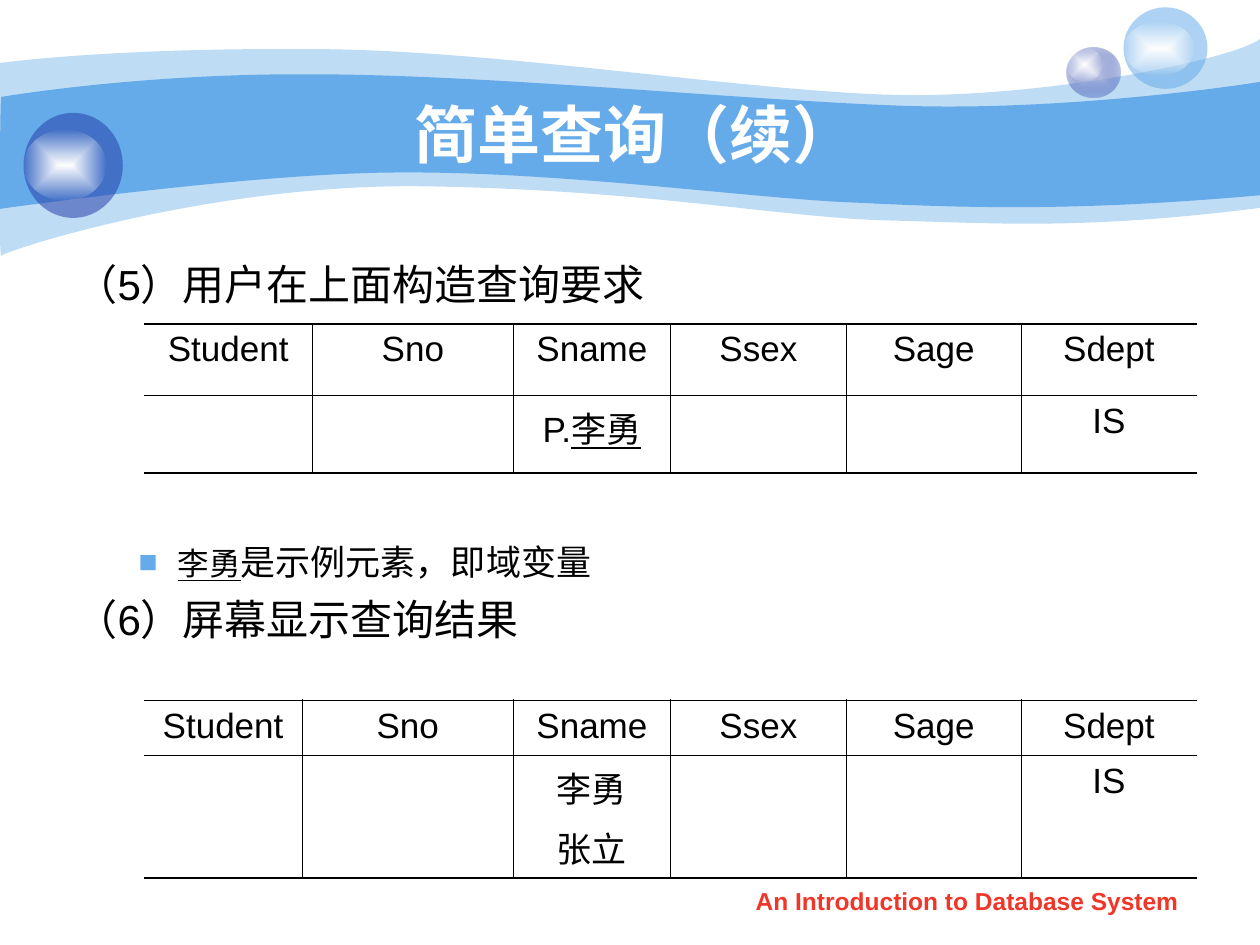
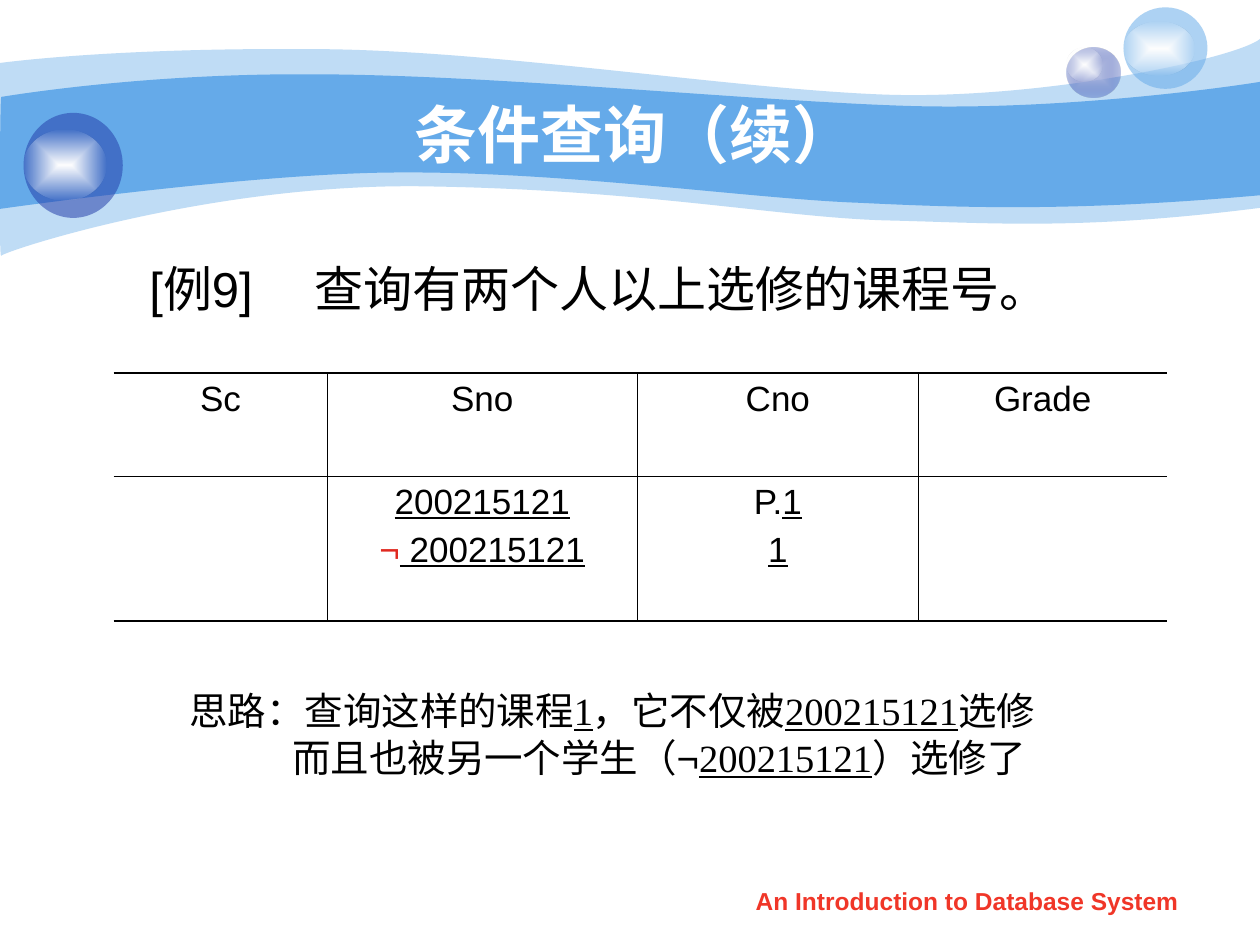
from dataclasses import dataclass
from typing import NamedTuple, Optional

from lxml.etree import SubElement
from pptx import Presentation
from pptx.dml.color import RGBColor
from pptx.enum.shapes import MSO_SHAPE as Preset
from pptx.enum.text import MSO_ANCHOR as Anchor, MSO_AUTO_SIZE as AutoSize, PP_ALIGN as Align
from pptx.oxml import parse_xml
from pptx.oxml.ns import nsdecls, qn
from pptx.util import Pt

COLORS = {
    "text": "000000",
    "white": "FFFFFF",
    "sky": "65AAE9",
    "navy": "233DA9",
    "mist": "C7CEE9",
    "footer": "F03628",
    "negation": "E02920",
}
SANS, SERIF = "Arial", "Times New Roman"
THIN, THICK = 0.45, 1.08


class Frame(NamedTuple):
    left: float
    top: float
    width: float
    height: float

    def lengths(self) -> list:
        return [Pt(value) for value in self]


class Tint(NamedTuple):
    color: str
    opacity: int = 100


class Disc(NamedTuple):
    frame: Frame
    tints: tuple


class Wave(NamedTuple):
    tint: Tint
    start: tuple
    segments: tuple


@dataclass
class Span:
    text: str
    underline: bool = False
    size: Optional[float] = None
    font: Optional[str] = None
    color: Optional[str] = None


@dataclass
class Para:
    spans: list
    size: float = 20
    font: str = SANS
    color: str = "text"
    bold: bool = False
    align: Align = Align.LEFT
    level: int = 0
    margin: float = 0
    indent: float = 0
    before: float = 0
    line: Optional[float] = None
    bullet: Optional[str] = None


@dataclass
class Grid:
    left: float
    top: float
    columns: list
    rows: list
    cells: list


TITLE_FRAME = Frame(72, 54, 581.8, 44.6)
FOOTER_FRAME = Frame(411, 502.6, 283.5, 25.2)
GLOW = (Tint("white"), Tint("white", 0))

# A segment holds two control points and an end point, or just the end of a line.
WAVES = [
    Wave(Tint("sky", 41), (0, 36), (
        (17.3, 33.8, 77, 27.4, 177.8, 28.1),
        (277.9, 28.1, 414, 50.4, 503.3, 54),
        (591.8, 57.6, 705.6, 33.8, 720, 22.3),
        (720, 118.8),
        (617.8, 131.8, 566.6, 127.4, 507.6, 126),
        (447.8, 124.6, 370.8, 108.7, 247, 106.6),
        (123.8, 103.7, 2.9, 143.3, 0.7, 146.2),
        (-0.7, 149.8, 0, 54, 0, 36))),
    Wave(Tint("sky"), (0.7, 55.4), (
        (1.4, 55.4, 79.2, 41.8, 178.6, 42.5),
        (277.9, 42.5, 428.4, 57.6, 517, 60.5),
        (605.5, 63.4, 702.7, 49.7, 720, 46.8),
        (720, 111.6),
        (614.2, 121, 550.8, 118.8, 491, 115.9),
        (431.3, 113.8, 321.8, 97.9, 228.2, 98.6),
        (146.2, 98.6, -1.4, 119.5, -0.7, 119.5),
        (0, 119.5, 0, 55.4, 0.7, 55.4))),
]
BALLS = [
    (Disc(Frame(609.5, 27, 30.6, 29), (Tint("mist"), Tint("navy", 31))),
     Disc(Frame(609.5, 27.2, 20.2, 19.4), GLOW)),
    (Disc(Frame(642, 4.2, 48, 46.6), (Tint("sky", 53),)),
     Disc(Frame(642, 12.2, 40.3, 31), GLOW)),
    (Disc(Frame(13.5, 64.5, 56.7, 60), (Tint("navy", 53),)),
     Disc(Frame(13.5, 74.4, 47.3, 40.3), GLOW)),
]


def color_xml(tint: Tint) -> str:
    return (f'<a:srgbClr val="{COLORS[tint.color]}">'
            f'<a:alpha val="{tint.opacity * 1000}"/></a:srgbClr>')


def paint(shape, tints: tuple) -> None:
    """Fill with one tint, or with a gradient from the centre outwards."""
    shape.shadow.inherit = False
    shape.line.fill.background()
    shape.fill.background()
    if len(tints) == 1:
        xml = f'<a:solidFill {nsdecls("a")}>{color_xml(tints[0])}</a:solidFill>'
    else:
        stops = "".join(f'<a:gs pos="{pos}">{color_xml(tint)}</a:gs>'
                        for pos, tint in zip((0, 100000), tints))
        xml = (f'<a:gradFill {nsdecls("a")} rotWithShape="1"><a:gsLst>{stops}</a:gsLst>'
               '<a:path path="rect"><a:fillToRect l="50000" t="50000" r="50000" b="50000"/>'
               '</a:path></a:gradFill>')
    properties = shape.element.spPr
    properties.replace(properties.find(qn("a:noFill")), parse_xml(xml))


def draw_wave(page, wave: Wave):
    """Lay out every point as a line, then join each three into one Bézier curve."""
    builder = page.shapes.build_freeform(*map(Pt, wave.start))
    for segment in wave.segments:
        lengths = [Pt(value) for value in segment]
        builder.add_line_segments(list(zip(lengths[::2], lengths[1::2])), close=False)
    shape = builder.convert_to_shape()
    outline = next(shape.element.iter(qn("a:path")))
    lines = iter(outline.findall(qn("a:lnTo")))
    for segment in wave.segments:
        step = next(lines)
        if len(segment) == 6:
            curve = parse_xml(f'<a:cubicBezTo {nsdecls("a")}/>')
            step.addprevious(curve)
            for line in (step, next(lines), next(lines)):
                curve.append(line[0])
                outline.remove(line)
    SubElement(outline, qn("a:close"))
    paint(shape, (wave.tint,))
    return shape


def draw_ball(page, discs: tuple):
    shapes = []
    for disc in discs:
        shape = page.shapes.add_shape(Preset.OVAL, *disc.frame.lengths())
        paint(shape, disc.tints)
        shapes.append(shape)
    return page.shapes.add_group_shape(shapes)


def decorate_layout(layout, page) -> None:
    """Draw the banner on a page, then hand it to the layout all pages share."""
    shapes = [draw_wave(page, wave) for wave in WAVES]
    shapes += [draw_ball(page, discs) for discs in BALLS]
    title = layout.placeholders[0]
    place(title, TITLE_FRAME)
    number = 100
    for shape in shapes:
        for label in shape.element.iter(qn("p:cNvPr")):
            number += 1
            label.set("id", str(number))
        title.element.addprevious(shape.element)


def place(shape, frame: Frame) -> None:
    shape.left, shape.top, shape.width, shape.height = frame.lengths()


def write(text_frame, paras: list) -> None:
    for index, spec in enumerate(paras):
        para = text_frame.add_paragraph() if index else text_frame.paragraphs[0]
        para.alignment, para.level = spec.align, spec.level
        para.space_before = Pt(spec.before)
        if spec.line:
            para.line_spacing = Pt(spec.line)
        properties = para._p.get_or_add_pPr()
        properties.set("marL", str(Pt(spec.margin)))
        properties.set("indent", str(Pt(spec.indent)))
        if spec.bullet:
            tint = SubElement(properties, qn("a:buClr"))
            SubElement(tint, qn("a:srgbClr"), val=COLORS["sky"])
            SubElement(properties, qn("a:buFont"), typeface=SANS)
            SubElement(properties, qn("a:buChar"), char=spec.bullet)
        else:
            SubElement(properties, qn("a:buNone"))
        for part in spec.spans:
            span = para.add_run()
            span.text = part.text
            font = span.font
            font.name = part.font or spec.font
            font.size = Pt(part.size or spec.size)
            font.bold, font.underline = spec.bold, part.underline
            font.color.rgb = RGBColor.from_string(COLORS[part.color or spec.color])


def add_text(page, frame: Frame, paras: list) -> None:
    box = page.shapes.add_textbox(*frame.lengths())
    box.text_frame.word_wrap = True
    write(box.text_frame, paras)


def fill_page(page, title: str, body_frame: Frame, body: list) -> None:
    heading = page.shapes.title.text_frame
    heading.auto_size, heading.vertical_anchor = AutoSize.NONE, Anchor.MIDDLE
    write(heading, [Para([Span(title)], 36, color="white", bold=True, align=Align.CENTER)])
    content = page.placeholders[1]
    place(content, body_frame)
    content.text_frame.auto_size = AutoSize.NONE
    write(content.text_frame, body)
    add_text(page, FOOTER_FRAME, [Para([Span("An Introduction to Database System")], 14,
                                       color="footer", bold=True, align=Align.CENTER)])


def set_borders(cell, widths: dict) -> None:
    """Give each side its width in points; zero means no line."""
    properties = cell._tc.get_or_add_tcPr()
    for index, (side, width) in enumerate(widths.items()):
        ink = (f'<a:solidFill><a:srgbClr val="{COLORS["text"]}"/></a:solidFill>'
               if width else "<a:noFill/>")
        properties.insert(index, parse_xml(
            f'<a:ln{side} {nsdecls("a")} w="{Pt(width)}">{ink}</a:ln{side}>'))


def add_grid(page, grid: Grid) -> None:
    last_row, last_column = len(grid.rows) - 1, len(grid.columns) - 1
    frame = Frame(grid.left, grid.top, sum(grid.columns), sum(grid.rows))
    table = page.shapes.add_table(last_row + 1, last_column + 1, *frame.lengths()).table
    table.first_row = table.horz_banding = False
    for column, width in zip(table.columns, grid.columns):
        column.width = Pt(width)
    for r, (row, height) in enumerate(zip(table.rows, grid.rows)):
        row.height = Pt(height)
        for c, cell in enumerate(row.cells):
            cell.fill.background()
            set_borders(cell, {"L": THIN if c else 0,
                               "R": THIN if c < last_column else 0,
                               "T": THIN if r else THICK,
                               "B": THIN if r < last_row else THICK})
            write(cell.text_frame, [Para(spans, align=Align.CENTER, before=5 if i else 0)
                                    for i, spans in enumerate(grid.cells[r][c])])


def header(*names: str) -> list:
    return [[[Span(name)]] for name in names]


def build_simple_query(page) -> None:
    step = dict(size=24, margin=27.4, indent=-27.4, line=28.8)
    fill_page(page, "简单查询（续）", Frame(36, 144, 647.3, 354.2), [
        Para([Span("（5）用户在上面构造查询要求")], **step),
        Para([Span("李勇", True, 18), Span("是示例元素，即域变量")], level=1,
             margin=58.3, indent=-22.3, before=131.7, line=25, bullet="■"),
        Para([Span("（6）屏幕显示查询结果")], before=6.2, **step),
    ])
    names = header("Student", "Sno", "Sname", "Ssex", "Sage", "Sdept")
    shared = [90, 100.2, 100.2, 100.2]
    requested = [[Span("P."), Span("李勇", True)]]
    found = [[Span("李勇")], [Span("张立")]]
    for top, first_columns, rows, sname in (
            (185, [96.4, 114.7], [41, 44.3], requested),
            (400.2, [90.6, 120.5], [31.5, 70.2], found)):
        values = [[], [], sname, [], [], [[Span("IS")]]]
        add_grid(page, Grid(82.2, top, first_columns + shared, rows, [names, values]))


def build_condition_query(page) -> None:
    fill_page(page, "条件查询（续）", Frame(36, 144, 653, 120.2), [
        Para([Span("[例9]\t查询有两个人以上选修的课程号。")], 28, align=Align.JUSTIFY,
             level=1, margin=136.6, indent=-94.4, line=33.6)])
    number = "200215121"
    idea = dict(size=22, font=SERIF, line=26.8)
    add_text(page, Frame(64.8, 388.8, 635, 60.5), [
        Para([Span("思路：查询这样的课程"), Span("1", True), Span("，它不仅被"),
              Span(number, True), Span("选修")], margin=36.4, **idea),
        Para([Span("而且也被另一个学生（"), Span("¬", font=SANS),
              Span(number, True), Span("）选修了")], margin=95.2, **idea),
    ])
    students = [[Span(number, True)],
                [Span("¬", color="negation"), Span(" " + number, True)]]
    courses = [[Span("P."), Span("1", True)], [Span("1", True)]]
    add_grid(page, Grid(65, 213.2, [122, 177.3, 160.5, 142.2], [59, 82.8],
                        [header("Sc", "Sno", "Cno", "Grade"), [[], students, courses, []]]))


def main() -> None:
    deck = Presentation()
    deck.slide_width, deck.slide_height = Pt(720), Pt(540)
    layout = deck.slide_layouts[1]
    pages = [deck.slides.add_slide(layout) for _ in range(2)]
    decorate_layout(layout, pages[0])
    build_simple_query(pages[0])
    build_condition_query(pages[1])
    deck.save("out.pptx")


if __name__ == "__main__":
    main()
